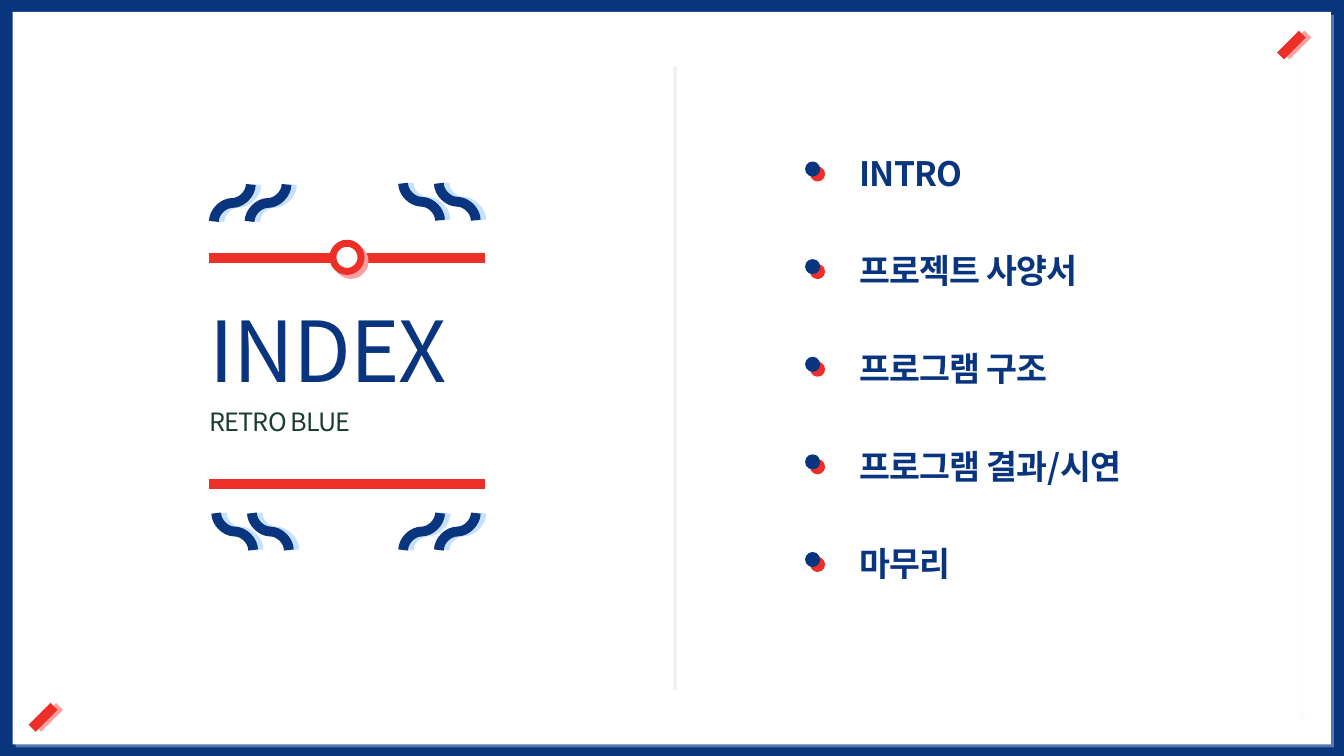
from lxml.etree import SubElement
from pptx import Presentation
from pptx.dml.color import RGBColor
from pptx.enum.shapes import MSO_CONNECTOR as LINE, MSO_SHAPE as SHAPE
from pptx.enum.text import MSO_ANCHOR as ANCHOR, MSO_AUTO_SIZE as AUTO, PP_ALIGN as ALIGN
from pptx.oxml.ns import qn
from pptx.util import Cm, Pt

FONT = "Noto Sans CJK KR"
NAVY, RED, WHITE, GRAY = "09347E", "EE2F27", "FFFFFF", "F2F2F2"
SKY, PINK, GREEN = "C6E1FE", "FCA0A1", "1B3C33"
ITEMS = ["INTRO", "프로젝트 사양서", "프로그램 구조", "프로그램 결과/시연", "마무리"]
ITEM_STEP = 2.46


def color(value):
    return RGBColor.from_string(value)


def set_shadow(shape, value=None, distance=0, angle=0, opacity=100):
    """Replace the theme shadow with a hard offset one, or with none."""
    properties = shape._element.spPr
    effects = SubElement(properties, qn("a:effectLst"))
    if value:
        shadow = SubElement(effects, qn("a:outerShdw"), blurRad="0", dist=str(Pt(distance)),
                            dir=str(angle * 60000), algn="tl", rotWithShape="0")
        tone = SubElement(shadow, qn("a:srgbClr"), val=value)
        SubElement(tone, qn("a:alpha"), val=str(opacity * 1000))


def add_line(slide, start, end, value, width, shadow=(), kind=LINE.STRAIGHT):
    line = slide.shapes.add_connector(kind, *(Cm(length) for length in start + end))
    line.line.color.rgb = color(value)
    line.line.width = Pt(width)
    set_shadow(line, *shadow)
    return line


def add_wave(slide, left, top, falls_right):
    """An S-curve that leaves and arrives vertically, thanks to a quarter turn."""
    size = 0.93
    start, end = (left, top), (left + size, top + size)
    if falls_right:
        start, end = (left + size, top), (left, top + size)
    wave = add_line(slide, start, end, NAVY, 7, (SKY, 4), LINE.CURVE)
    turn = 270 if falls_right else 90
    wave._element.spPr.find(qn("a:xfrm")).set("rot", str(turn * 60000))


def add_guide(slide):
    """Faint vertical line with round ends near the right edge."""
    guide = add_line(slide, (32.8, 0.86), (32.8, 18.03), GRAY, 1)
    outline = guide.line._get_or_add_ln()
    SubElement(outline.find(".//" + qn("a:srgbClr")), qn("a:alpha"), val="22000")
    for end in ("a:headEnd", "a:tailEnd"):
        SubElement(outline, qn(end), type="oval")


def add_block(slide, kind, box, fill, shadow, outline=None):
    shape = slide.shapes.add_shape(kind, *(Cm(length) for length in box))
    shape.fill.solid()
    shape.fill.fore_color.rgb = color(fill)
    if outline:
        shape.line.color.rgb = color(outline)
        shape.line.width = Pt(5)
    else:
        shape.line.fill.background()
    set_shadow(shape, *shadow)


def write_text(shape, box, text, size, value, bold=False, align=ALIGN.LEFT):
    for name, length in zip(("left", "top", "width", "height"), box):
        setattr(shape, name, Cm(length))
    frame = shape.text_frame
    frame_format = {"word_wrap": True, "auto_size": AUTO.NONE, "vertical_anchor": ANCHOR.MIDDLE,
                    "margin_left": 0, "margin_top": 0, "margin_right": 0, "margin_bottom": 0}
    for name, setting in frame_format.items():
        setattr(frame, name, setting)
    paragraph = frame.paragraphs[0]
    paragraph.alignment = align
    paragraph.line_spacing = 1.2
    run = paragraph.add_run()
    run.text = text
    for name, setting in {"name": FONT, "size": Pt(size), "bold": bold}.items():
        setattr(run.font, name, setting)
    run.font.color.rgb = color(value)
    properties = run._r.get_or_add_rPr()
    properties.set("spc", "-60")
    SubElement(properties, qn("a:ea"), typeface=FONT)


def add_text(slide, *content, **settings):
    write_text(slide.shapes.add_textbox(0, 0, 0, 0), *content, **settings)


def add_title(slide, *content, **settings):
    """Fill the title and lift it above the white panel."""
    title = slide.shapes.title
    write_text(title, *content, **settings)
    slide.shapes._spTree.append(title._element)


def main():
    presentation = Presentation()
    presentation.slide_width, presentation.slide_height = Cm(33.87), Cm(19.05)
    slide = presentation.slides.add_slide(presentation.slide_layouts[5])

    # Navy frame around a white panel
    slide.background.fill.solid()
    slide.background.fill.fore_color.rgb = color(NAVY)
    add_block(slide, SHAPE.RECTANGLE, (0.32, 0.3, 33.22, 18.46), WHITE, (SKY, 3, 45, 40))
    add_guide(slide)

    # Red bars, ring and waves around the title
    for y in (12.19, 6.5):
        add_line(slide, (5.27, y), (12.22, y), RED, 7)
    add_block(slide, SHAPE.OVAL, (8.39, 6.13, 0.71, 0.71), WHITE, (PINK, 4, 45), RED)
    for left, top, falls_right in ((10.16, 12.93, False), (5.39, 4.65, False),
                                   (10.16, 4.62, True), (5.45, 12.93, True)):
        for offset in (0.9, 0):
            add_wave(slide, left + offset, top, falls_right)

    # Divider and title
    add_line(slide, (17.01, 1.66), (17.01, 17.4), GRAY, 2.5)
    add_title(slide, (5.28, 7.75, 6.93, 1.57), "INDEX", 60, NAVY, align=ALIGN.JUSTIFY)
    add_text(slide, (5.28, 10.11, 6.93, 0.86), "RETRO BLUE", 18, GREEN, align=ALIGN.JUSTIFY)

    # Index entries with their dots
    for index, item in enumerate(ITEMS):
        offset = index * ITEM_STEP
        add_block(slide, SHAPE.OVAL, (20.29, 4.07 + offset, 0.38, 0.38), NAVY, (RED, 5, 45))
        add_text(slide, (21.66, 3.57 + offset, 6.65, 1.37), item, 24, NAVY, bold=True)

    # Corner ticks
    for x, y in ((32.82, 0.86), (1.36, 17.8)):
        add_line(slide, (x, y), (x - 0.55, y + 0.55), RED, 7, (PINK, 4))

    presentation.save("out.pptx")


main()
